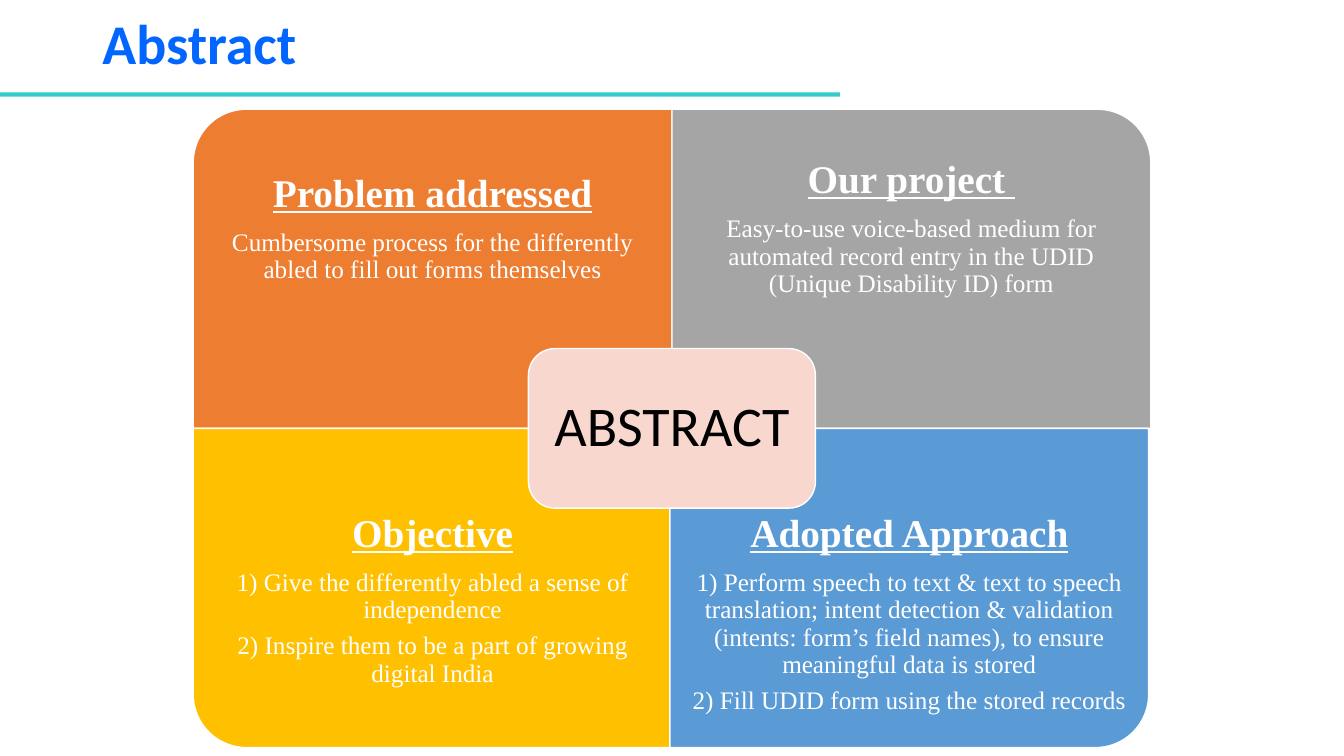
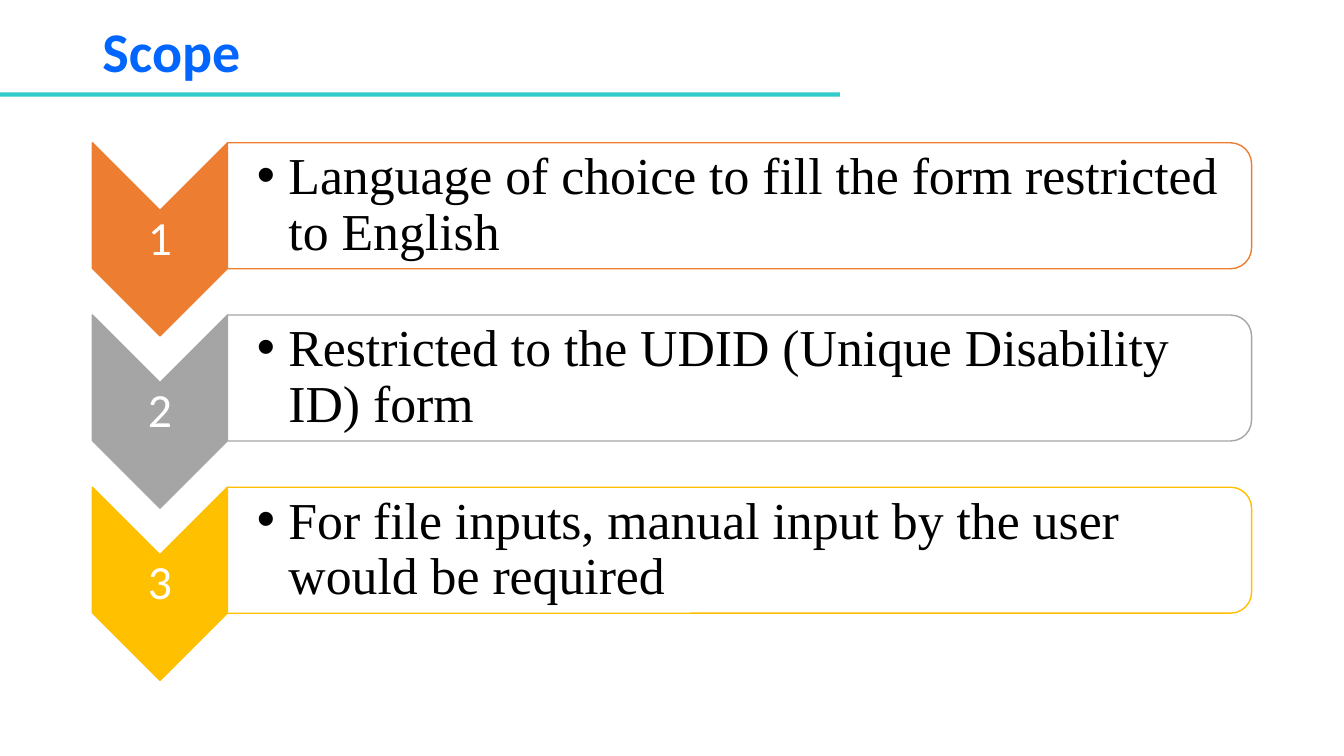
from pptx import Presentation
from pptx.dml.color import RGBColor
from pptx.enum.shapes import MSO_SHAPE
from pptx.enum.text import MSO_ANCHOR, MSO_AUTO_SIZE, PP_ALIGN
from pptx.oxml.ns import qn
from pptx.util import Pt
from lxml.etree import SubElement

tint = RGBColor.from_string
ORANGE, GREY, GOLD, SKY = "ED7D31", "A5A5A5", "FFC000", "5B9BD5"
WHITE, BLACK, BLUE, TEAL, PEACH = "FFFFFF", "000000", "0066FF", "33CCCC", "F8D7CE"
SERIF, SANS = "Times New Roman", "Calibri"


def block(slide, kind, x, y, w, h, fill, line=None, turn=0):
    """Add a shape that covers the box x, y, w, h after its turn."""
    mid_x, mid_y = x + w / 2, y + h / 2
    if turn % 180:
        w, h = h, w
    shape = slide.shapes.add_shape(
        kind, Pt(mid_x - w / 2), Pt(mid_y - h / 2), Pt(w), Pt(h))
    shape.rotation = turn
    shape.shadow.inherit = False
    shape.fill.solid()
    shape.fill.fore_color.rgb = tint(fill)
    if line:
        shape.line.color.rgb = tint(line)
        shape.line.width = Pt(1)
    else:
        shape.line.fill.background()
    return shape


def say(frame, text, size, font=SERIF, color=WHITE, bold=False, under=False,
        align=PP_ALIGN.CENTER, gap=0.35, pad=(16, 16, 16, 16),
        anchor=MSO_ANCHOR.MIDDLE, hang=0):
    """Add one paragraph; gap is the space after it as a share of size."""
    frame.word_wrap = True
    frame.auto_size = MSO_AUTO_SIZE.NONE
    frame.vertical_anchor = anchor
    (frame.margin_left, frame.margin_top,
     frame.margin_right, frame.margin_bottom) = map(Pt, pad)
    par = frame.add_paragraph() if frame.text else frame.paragraphs[0]
    par.alignment = align
    par.line_spacing = 0.9
    par.space_after = Pt(size * gap)
    run = par.add_run()
    run.text = text
    run.font.name = font
    run.font.size = Pt(size)
    run.font.bold = bold
    run.font.underline = under
    run.font.color.rgb = tint(color)
    if hang:
        props = par._p.get_or_add_pPr()
        props.set("marL", str(Pt(hang)))
        props.set("indent", str(-Pt(hang)))
        SubElement(props, qn("a:buFont"), typeface="Arial")
        SubElement(props, qn("a:buChar"), char="•")


deck = Presentation()
deck.slide_width, deck.slide_height = Pt(960), Pt(540)
layout = deck.slide_layouts[5]

# Titles, with the band kept on the layout
slides = []
for name, top in (("Abstract", 0), ("Scope", 6)):
    slide = deck.slides.add_slide(layout)
    title = slide.shapes.title
    title.left, title.top, title.width, title.height = map(Pt, (66, top, 828, 66))
    say(title.text_frame, name, 40, font=SANS, color=BLUE, bold=True,
        align=PP_ALIGN.LEFT, gap=0, pad=(7.2, 3.6, 7.2, 3.6))
    slides.append(slide)
abstract, scope = slides
band = block(abstract, MSO_SHAPE.RECTANGLE, 0, 66, 600, 3, TEAL)
layout.shapes.element.append(band.element)

# Abstract: four quarters around a centre
LEFT, TOP, WIDE, HIGH = 138, 78, 342, 228
MID, LOW = LEFT + WIDE, TOP + HIGH
TALL = HIGH * 0.75
quarters = (
    (LEFT, TOP, 270, ORANGE, "Problem addressed",
     ["Cumbersome process for the differently abled to fill out forms themselves"]),
    (MID, TOP, 0, GREY, "Our project ",
     ["Easy-to-use voice-based medium for automated record entry in the UDID "
      "(Unique Disability ID) form"]),
    (LEFT, LOW, 180, GOLD, "Objective",
     ["1) Give the differently abled a sense of independence",
      "2) Inspire them to be a part of growing digital India"]),
    (MID - 1.5, LOW, 90, SKY, "Adopted Approach",
     ["1) Perform speech to text & text to speech translation; intent detection "
      "& validation (intents: form’s field names), to ensure meaningful data is stored",
      "2) Fill UDID form using the stored records"]),
)
for x, y, turn, fill, head, lines in quarters:
    block(abstract, MSO_SHAPE.ROUND_1_RECTANGLE, x, y, WIDE, HIGH, fill, WHITE, turn)
    lower = y == LOW
    box = abstract.shapes.add_textbox(
        Pt(x), Pt(y + HIGH - TALL if lower else y), Pt(WIDE), Pt(TALL))
    form = dict(pad=(16, 4, 16, 4), anchor=MSO_ANCHOR.TOP) if lower else {}
    say(box.text_frame, head, 28, bold=True, under=True, **form)
    for line in lines:
        say(box.text_frame, line, 18, **form)

core = block(abstract, MSO_SHAPE.ROUNDED_RECTANGLE,
             MID - 102.5, LOW - 57, 205, 114, PEACH, WHITE)
say(core.text_frame, "ABSTRACT", 40, font=SANS, color=BLACK, pad=(6, 6, 6, 6))

# Scope: numbered chevrons, each with a bullet
limits = (
    (ORANGE, "Language of choice to fill the form restricted to English"),
    (GREY, "Restricted to the UDID (Unique Disability ID) form"),
    (GOLD, "For file inputs, manual input by the user would be required"),
)
EDGE, ARM, STEP = 66, 96.5, 123
for num, (color, text) in enumerate(limits):
    y = 102 + num * STEP
    block(scope, MSO_SHAPE.CHEVRON, EDGE, y, ARM, 138, color, color, 90)
    box = scope.shapes.add_textbox(Pt(EDGE), Pt(y + 48.5), Pt(ARM), Pt(41.5))
    say(box.text_frame, str(num + 1), 34, font=SANS, pad=(1.5, 1.5, 1.5, 1.5))
    block(scope, MSO_SHAPE.ROUND_2_SAME_RECTANGLE,
          EDGE + ARM, y, 731.5, 90, WHITE, color, 90)
    box = scope.shapes.add_textbox(Pt(EDGE + ARM), Pt(y + 4.5), Pt(727), Pt(81))
    say(box.text_frame, text, 37, color=BLACK, align=PP_ALIGN.LEFT, gap=0.15,
        pad=(21, 2, 2, 2), hang=22.5)

deck.save("out.pptx")
